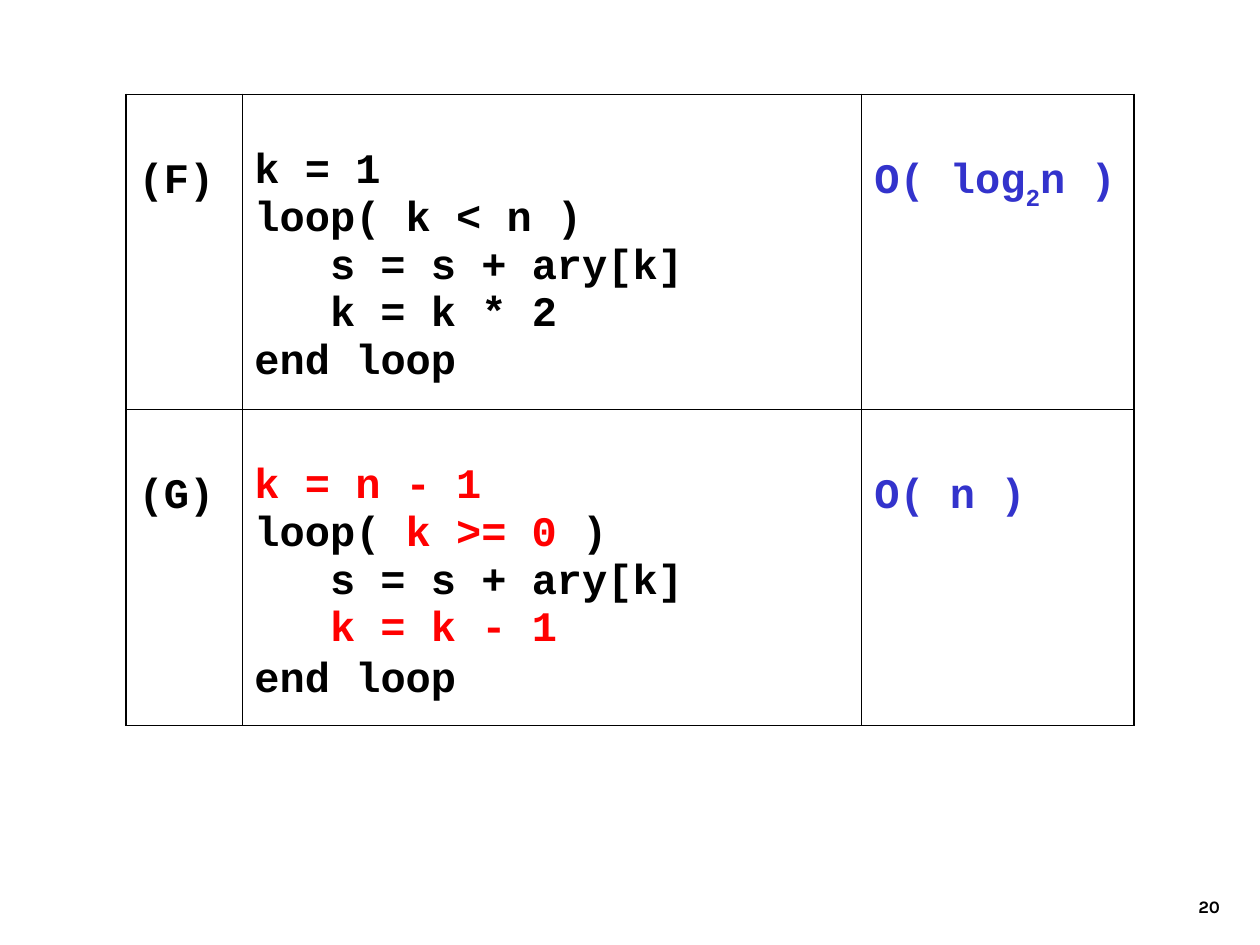
import pptx
import pptx.dml.color
import pptx.enum.text
import pptx.oxml
import pptx.oxml.ns
import pptx.util

W, H = pptx.util.Inches(10), pptx.util.Inches(7.5)
COLS = (0.115, 0.615, 0.27)
BLACK, RED, BLUE = "000000", "FF0000", "3333CC"
THIN, THICK = 0.45, 1.08
STEP = pptx.util.Inches(0.6)  # three characters of code

# Each row: label, code lines (indent, gap before, runs), cost
ROWS = [
    ([("(F)", BLACK)],
     [(0, 0, [("k = 1", BLACK)]),
      (0, 0, [("loop( k < n )", BLACK)]),
      (1, 0, [("s = s + ary[k]", BLACK)]),
      (1, 0, [("k = k * 2", BLACK)]),
      (0, 0, [("end loop", BLACK)])],
     [("O( log", BLUE), ("2", BLUE, -30), ("n )", BLUE)]),
    ([("(G)", BLACK)],
     [(0, 0, [("k = n - 1", RED)]),
      (0, 0, [("loop( ", BLACK), ("k >= 0", RED), (" )", BLACK)]),
      (1, 0, [("s = s + ary[k]", BLACK)]),
      (1, 0, [("k = k - 1", RED)]),
      (0, 2, [("end loop", BLACK)])],
     [("O( n )", BLUE)]),
]


def color(code):
    return pptx.dml.color.RGBColor.from_string(code)


def write(para, text, font="Courier New", size=24, ink=BLACK, base=0):
    run = para.add_run()
    run.text = text
    run.font.name = font
    run.font.size = pptx.util.Pt(size)
    run.font.bold = True
    run.font.color.rgb = color(ink)
    if base:
        run.font._element.set("baseline", str(base * 1000))


def border(cell, side, width):
    line = pptx.oxml.parse_xml(
        f'<a:ln{side} {pptx.oxml.ns.nsdecls("a")} w="{pptx.util.Pt(width)}">'
        f'<a:solidFill><a:srgbClr val="{BLACK}"/></a:solidFill></a:ln{side}>')
    cell._tc.get_or_add_tcPr().append(line)


def fill(cell, lines, top):
    """Write lines of (indent, gap before, runs) below a top margin in inches."""
    cell.margin_top = pptx.util.Inches(top)
    frame = cell.text_frame
    for i, (indent, gap, runs) in enumerate(lines):
        para = frame.add_paragraph() if i else frame.paragraphs[0]
        para.space_before = pptx.util.Pt(gap)
        if indent:
            para._p.get_or_add_pPr().set("marL", str(indent * STEP))
        for text, ink, *base in runs:
            write(para, text, ink=ink, base=sum(base))


def add_grid(slide):
    frame = slide.shapes.add_table(len(ROWS), len(COLS), int(W * 0.1),
                                   int(H * 0.1), int(W * 0.8), int(H * 2 / 3))
    table = frame.table
    table.first_row = table.horz_banding = False
    for col, share in zip(table.columns, COLS):
        col.width = int(W * 0.8 * share)
    last_row, last_col = len(ROWS) - 1, len(COLS) - 1
    for r, (label, code, cost) in enumerate(ROWS):
        parts = ([(0, 0, label)], 0.51), (code, 0.43), ([(0, 0, cost)], 0.51)
        for c, (lines, top) in enumerate(parts):
            cell = table.cell(r, c)
            edges = {"L": c == 0, "R": c == last_col,
                     "T": r == 0, "B": r == last_row}
            for side, outer in edges.items():
                border(cell, side, THICK if outer else THIN)
            cell.fill.background()
            fill(cell, lines, top)


def add_number(slide, text):
    box = slide.shapes.add_textbox(int(W * 0.77), int(H * 0.91),
                                   int(W * 0.208), int(H / 15))
    frame = box.text_frame
    frame.word_wrap = True
    frame.vertical_anchor = pptx.enum.text.MSO_ANCHOR.BOTTOM
    para = frame.paragraphs[0]
    para.alignment = pptx.enum.text.PP_ALIGN.RIGHT
    write(para, text, font="Karla", size=10)


def main():
    deck = pptx.Presentation()
    deck.slide_width, deck.slide_height = W, H
    slide = deck.slides.add_slide(deck.slide_layouts[6])
    add_number(slide, "20")
    add_grid(slide)
    deck.save("out.pptx")


if __name__ == "__main__":
    main()
